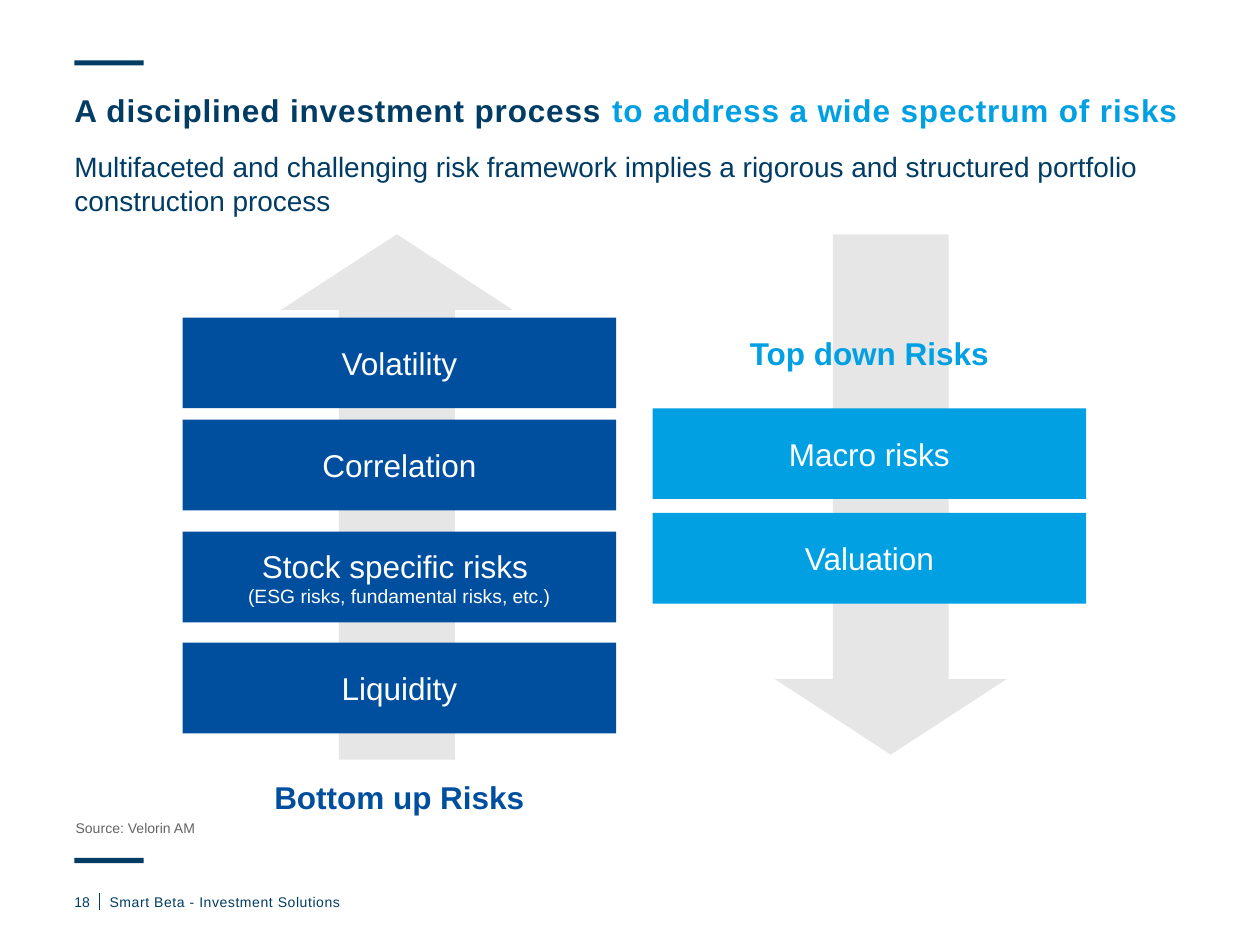
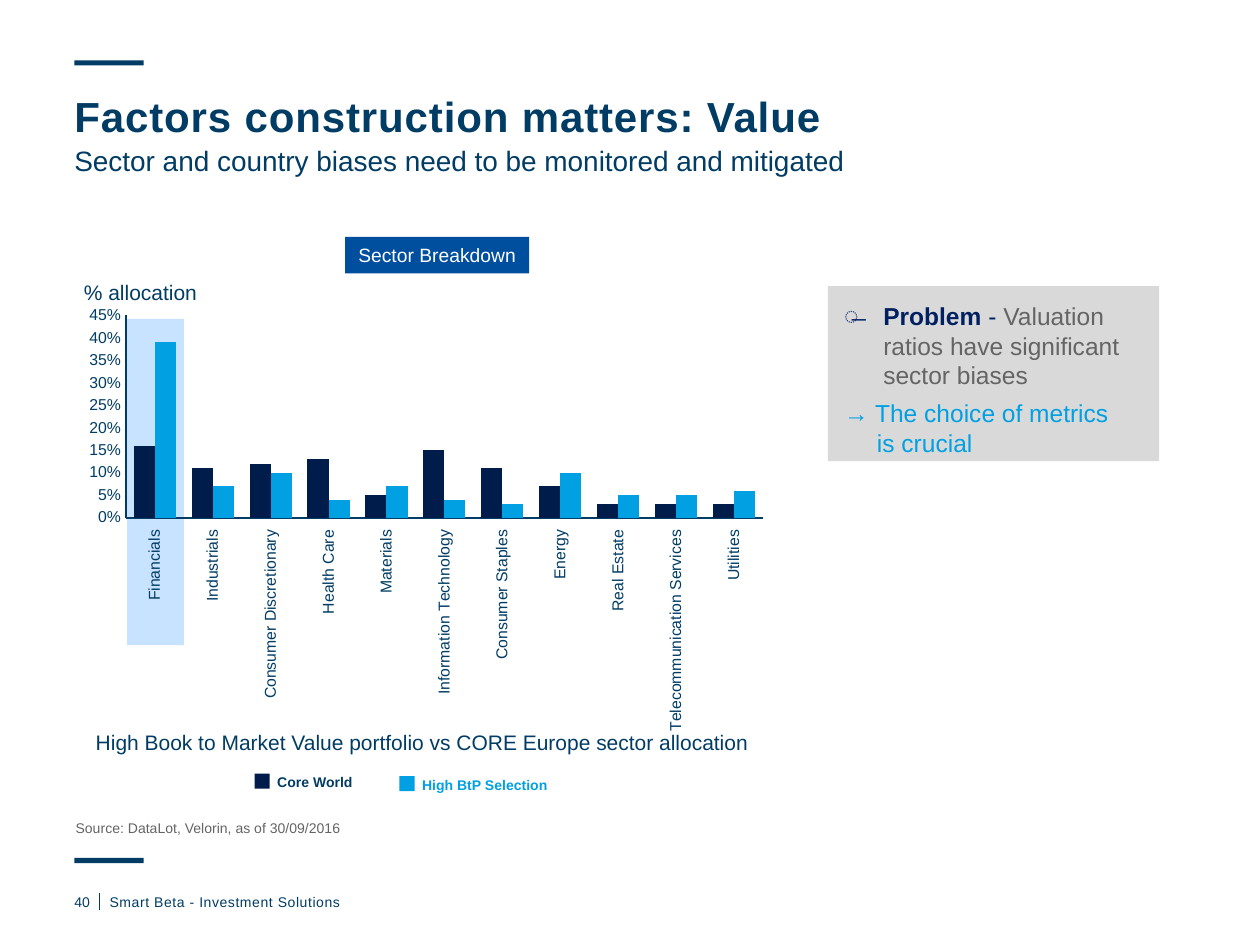
from copy import deepcopy
from dataclasses import dataclass, field

from lxml import etree
from pptx import Presentation
from pptx.chart.data import CategoryChartData
from pptx.dml.color import RGBColor
from pptx.enum import chart as charts, shapes, text
from pptx.oxml.ns import qn
from pptx.util import Inches, Pt


@dataclass(frozen=True)
class Theme:
    font: str = "Arial"
    ink: str = "003C64"
    sky: str = "00A0E3"
    blue: str = "004F9F"
    navy: str = "001C4B"
    problem: str = "002060"
    grey: str = "646464"
    arrow: str = "E7E6E6"
    panel: str = "D9D9D9"
    highlight: str = "B9DCFF"
    white: str = "FFFFFF"
    heading: int = 24
    box: int = 18
    subtitle: int = 16
    bullet: int = 14
    caption: int = 12
    tag: int = 11
    axis: int = 9
    small: int = 8


THEME = Theme()
CENTER = text.PP_ALIGN.CENTER
MIDDLE = text.MSO_ANCHOR.MIDDLE


@dataclass
class Run:
    words: str
    size: int
    color: str = THEME.ink
    bold: bool = False
    spacing: float = 0


@dataclass
class Para:
    runs: list
    layout: dict = field(default_factory=dict)
    margin: float = 0
    indent: float = 0
    bullet: str = ""
    bullet_color: str = THEME.ink


def rgb(color):
    return RGBColor.from_string(color)


def child(parent, tag, **attributes):
    return etree.SubElement(parent, qn(tag), attributes)


def apply(target, values):
    for name, value in values.items():
        setattr(target, name, value)


def style_font(font, size, color, bold=False):
    apply(font, dict(name=THEME.font, size=Pt(size), bold=bold))
    font.color.rgb = rgb(color)


def set_bullet(paragraph, para):
    properties = paragraph._p.get_or_add_pPr()
    properties.set("marL", str(Inches(para.margin)))
    properties.set("indent", str(Inches(para.indent)))
    if para.bullet:
        child(child(properties, "a:buClr"), "a:srgbClr", val=para.bullet_color)
        child(properties, "a:buChar", char=para.bullet)
    else:
        child(properties, "a:buNone")


def write_run(paragraph, run):
    for position, part in enumerate(run.words.split("\n")):
        if position:
            paragraph.add_line_break()
            paragraph._p[-1].append(deepcopy(paragraph.runs[-1].font._element))
        piece = paragraph.add_run()
        piece.text = part
        style_font(piece.font, run.size, run.color, run.bold)
        if run.spacing:
            piece.font._element.set("spc", str(int(run.spacing * 100)))


def write(shape, paras, inset=0, anchor=text.MSO_ANCHOR.TOP):
    frame = shape.text_frame
    margins = {f"margin_{side}": Inches(inset) for side in ("left", "top", "right", "bottom")}
    apply(frame, dict(margins, word_wrap=True, auto_size=text.MSO_AUTO_SIZE.NONE,
                      vertical_anchor=anchor))
    for position, para in enumerate(paras):
        paragraph = frame.add_paragraph() if position else frame.paragraphs[0]
        set_bullet(paragraph, para)
        apply(paragraph, {"space_before": Pt(0), "line_spacing": 1.0,
                          "alignment": text.PP_ALIGN.LEFT, **para.layout})
        for run in para.runs:
            write_run(paragraph, run)


def place(shape, at):
    apply(shape, dict(zip(("left", "top", "width", "height"), map(Inches, at))))
    return shape


def add_text(slide, at, paras, **options):
    label = slide.shapes.add_textbox(*map(Inches, at))
    write(label, paras, **options)


def add_block(slide, at, color, paras=(), kind=shapes.MSO_SHAPE.RECTANGLE):
    block = slide.shapes.add_shape(kind, *map(Inches, at))
    block.shadow.inherit = False
    block.fill.solid()
    block.fill.fore_color.rgb = rgb(color)
    block.line.fill.background()
    if paras:
        write(block, paras, inset=0.05, anchor=MIDDLE)
    return block


def centred(words, size, color=THEME.white, bold=False, spacing=1.0):
    return Para([Run(words, size, color, bold)], dict(alignment=CENTER, line_spacing=spacing))


def add_arrow(slide, at, kind):
    arrow = add_block(slide, at, THEME.arrow, kind=kind)
    arrow.adjustments[0] = 0.5
    arrow.adjustments[1] = 0.326


def add_frame(slide, page):
    for top in (0.48, 6.81):
        add_block(slide, (0.59, top, 0.55, 0.04), THEME.ink)
    divider = slide.shapes.add_connector(shapes.MSO_CONNECTOR.STRAIGHT, Inches(0.79),
                                         Inches(7.09), Inches(0.79), Inches(7.22))
    divider.line.color.rgb = rgb(THEME.ink)
    divider.line.width = Pt(0.5)
    child(divider._element.spPr, "a:effectLst")
    add_text(slide, (0.59, 7.09, 0.2, 0.2), [Para([Run(page, THEME.small)])])
    add_text(slide, (0.87, 7.09, 5.7, 0.2),
             [Para([Run("Smart Beta - Investment Solutions", THEME.small, spacing=0.3)])])


def start_slide(deck, layout, page, title, subtitle, subtitle_top, source):
    slide = deck.slides.add_slide(deck.slide_layouts[layout])
    heading, intro, origin, *others = slide.placeholders
    write(place(heading, (0.59, 0.76, 8.82, 0.42)), [Para(title, dict(line_spacing=0.9))])
    write(place(intro, (0.59, subtitle_top, 8.82, 0.33)),
          [Para([Run(subtitle, THEME.subtitle)])])
    write(place(origin, (0.6, 5.97, 8.81, 0.67)),
          [Para([Run(source, THEME.small, THEME.grey)])], anchor=text.MSO_ANCHOR.BOTTOM)
    add_frame(slide, page)
    return slide, others


def build_risks(deck):
    title = [Run("A disciplined investment process ", THEME.box, THEME.ink, True, 0.5),
             Run("to address a wide spectrum of risks", THEME.box, THEME.sky, True, 0.5)]
    slide, _ = start_slide(
        deck, 3, "18", title,
        "Multifaceted and challenging risk framework implies a rigorous and structured "
        "portfolio construction process", 1.19, "Source: Velorin AM")
    add_arrow(slide, (6.15, 1.86, 1.84, 4.13), shapes.MSO_SHAPE.DOWN_ARROW)
    add_arrow(slide, (2.23, 1.86, 1.84, 4.17), shapes.MSO_SHAPE.UP_ARROW)
    bottom_up = [(2.52, "Volatility"), (3.33, "Correlation"),
                 (4.22, "Stock specific risks "), (5.1, "Liquidity")]
    top_down = [(3.24, "Macro risks"), (4.07, "Valuation")]
    details = {"Stock specific risks ": "(ESG risks, fundamental risks, etc.)"}
    columns = [(1.45, THEME.blue, "Bottom up Risks", 6.05, bottom_up),
               (5.18, THEME.sky, "Top down Risks", 2.53, top_down)]
    for left, color, name, name_top, risks in columns:
        for top, risk in risks:
            lines = [centred(risk, THEME.box)]
            if risk in details:
                lines.append(centred(details[risk], THEME.tag))
            add_block(slide, (left, top, 3.44, 0.72), color, lines)
        add_text(slide, (left, name_top, 3.44, 0.59),
                 [centred(name, THEME.box, color, True, 0.85)], inset=0.08, anchor=MIDDLE)


def set_plot_area(chart, bounds):
    plot_area = chart._chartSpace.chart.plotArea
    for old in plot_area.findall(qn("c:layout")):
        plot_area.remove(old)
    layout = etree.Element(qn("c:layout"))
    manual = child(layout, "c:manualLayout")
    child(manual, "c:layoutTarget", val="inner")
    for name in ("xMode", "yMode"):
        child(manual, f"c:{name}", val="edge")
    for name, value in zip("xywh", bounds):
        child(manual, f"c:{name}", val=str(value))
    plot_area.insert(0, layout)


def add_sector_chart(slide, at, sectors, series):
    data = CategoryChartData(number_format="0%")
    data.categories = sectors
    for name, _, values in series:
        data.add_series(name, values)
    chart = slide.shapes.add_chart(charts.XL_CHART_TYPE.COLUMN_CLUSTERED,
                                   *map(Inches, at), data).chart
    apply(chart, dict(has_legend=False, has_title=False))
    style_font(chart.font, THEME.axis, THEME.ink)
    apply(chart.plots[0], dict(gap_width=75, overlap=0, vary_by_categories=False))
    for bars, (_, color, _) in zip(chart.plots[0].series, series):
        bars.format.fill.solid()
        bars.format.fill.fore_color.rgb = rgb(color)
    for axis in (chart.category_axis, chart.value_axis):
        apply(axis, dict(has_major_gridlines=False, major_tick_mark=charts.XL_TICK_MARK.NONE,
                         minor_tick_mark=charts.XL_TICK_MARK.NONE))
        style_font(axis.tick_labels.font, THEME.axis, THEME.ink)
        axis.format.line.color.rgb = rgb(THEME.ink)
        axis.format.line.width = Pt(1.25)
    apply(chart.value_axis, dict(minimum_scale=0, maximum_scale=0.45, major_unit=0.05))
    apply(chart.value_axis.tick_labels, dict(number_format="0%", number_format_is_linked=False))
    chart.category_axis.tick_label_position = charts.XL_TICK_LABEL_POSITION.LOW
    turned = chart.category_axis._element.find(qn("c:txPr")).find(qn("a:bodyPr"))
    apply_turn = {"rot": "-5400000", "vert": "horz"}
    for name, value in apply_turn.items():
        turned.set(name, value)
    set_plot_area(chart, (0.079, 0.123, 0.872, 0.417))


def build_value(deck):
    title = [Run("Factors construction matters: Value", THEME.heading, THEME.ink, True, 0.5)]
    slide, (caption, problem) = start_slide(
        deck, 4, "40", title, "Sector and country biases need to be monitored and mitigated",
        1.14, "Source: DataLot, Velorin, as of 30/09/2016")
    write(place(caption, (0.76, 5.79, 8.82, 0.33)),
          [Para([Run("High Book to Market Value portfolio vs CORE Europe sector allocation",
                     THEME.caption)])])
    highlight = add_block(slide, (1.01, 2.53, 0.45, 2.59), THEME.highlight)
    tint = highlight.fill._xPr.find(qn("a:solidFill"))[0]
    child(tint, "a:alpha", val="78000")

    sectors = ["Financials", "Industrials", "Consumer Discretionary", "Health Care",
               "Materials", "Information Technology", "Consumer Staples", "Energy",
               "Real Estate", "Telecommunication Services", "Utilities"]
    world = (0.16, 0.11, 0.12, 0.13, 0.05, 0.15, 0.11, 0.07, 0.03, 0.03, 0.03)
    selection = (0.39, 0.07, 0.1, 0.04, 0.07, 0.04, 0.03, 0.1, 0.05, 0.05, 0.06)
    add_sector_chart(slide, (0.54, 2.03, 5.8, 3.85), sectors,
                     [("Core World", THEME.navy, world),
                      ("High BtP Selection", THEME.sky, selection)])
    add_block(slide, (2.74, 1.88, 1.46, 0.29), THEME.blue,
              [centred("Sector Breakdown", THEME.tag)])
    add_text(slide, (0.11, 2.17, 2.01, 0.3),
             [centred("% allocation", THEME.caption, THEME.ink)], inset=0.05)

    legend = [(2.02, 6.14, "Core World", THEME.navy, THEME.ink),
              (3.17, 6.16, "High BtP Selection", THEME.sky, THEME.sky)]
    for left, top, name, color, name_color in legend:
        add_block(slide, (left, top, 0.12, 0.12), color)
        add_text(slide, (left + 0.18, top, 1.5, 0.14),
                 [Para([Run(name, THEME.small, name_color, True)])])

    place(problem, (6.57, 2.27, 2.63, 1.39))
    problem.fill.solid()
    problem.fill.fore_color.rgb = rgb(THEME.panel)
    size = THEME.bullet
    write(problem, [
        Para([Run("Problem", size, THEME.problem, True), Run(" - ", size, THEME.problem),
              Run("Valuation ratios have significant sector biases", size, THEME.grey)],
             margin=0.32, indent=-0.31, bullet="̶", bullet_color=THEME.problem),
        Para([Run("→ The choice of metrics \nis crucial", size, THEME.sky)],
             dict(space_before=Pt(5)), margin=0.27, indent=-0.26),
    ], inset=0.12)


def main():
    deck = Presentation()
    deck.slide_width, deck.slide_height = Inches(10), Inches(7.5)
    build_risks(deck)
    build_value(deck)
    deck.save("out.pptx")


if __name__ == "__main__":
    main()
